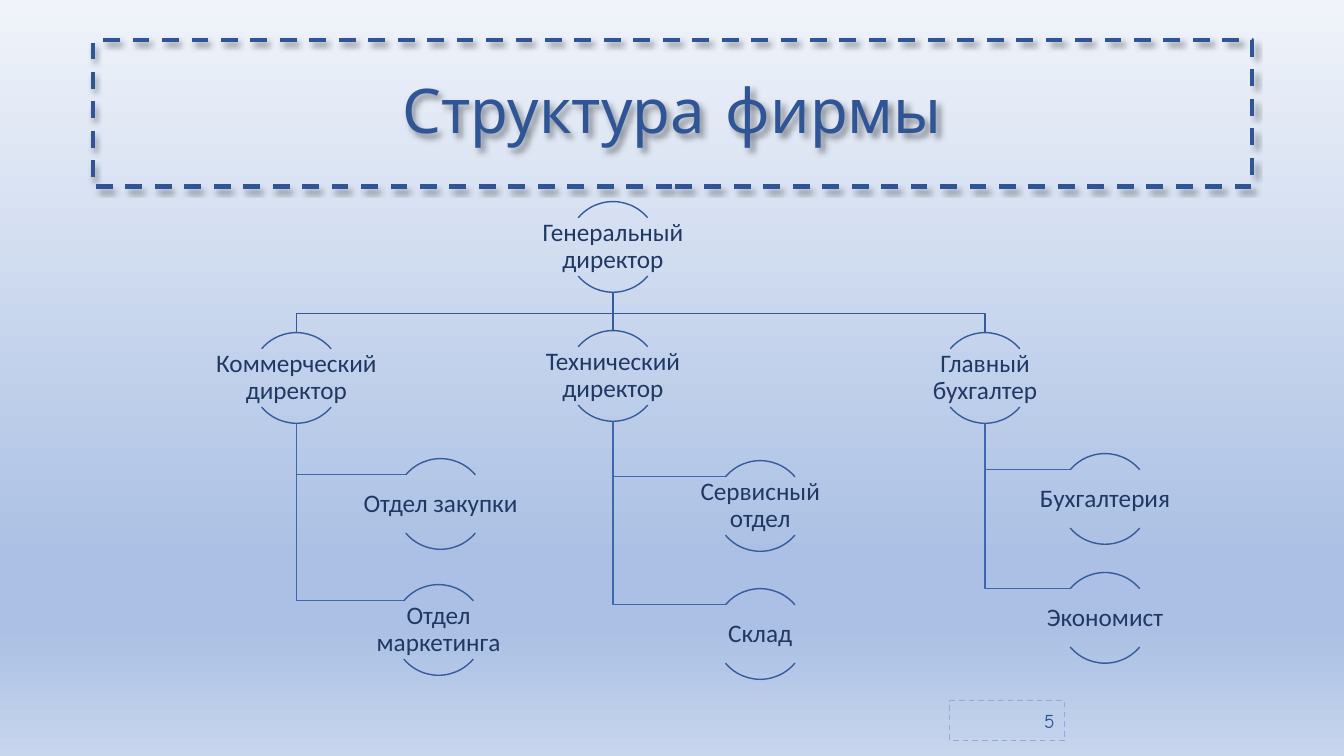
from lxml import etree
from pptx import Presentation
from pptx import util as u
from pptx.dml.color import RGBColor
from pptx.enum import dml, shapes, text
from pptx.oxml.ns import qn

NAVY = RGBColor(0x20, 0x38, 0x64)
BLUE = RGBColor(0x2F, 0x55, 0x97)
ARC_BLUE = RGBColor(0x36, 0x5B, 0x9D)
BRANCH_BLUE = RGBColor(0x3E, 0x67, 0xB2)
PALE_BLUE = RGBColor(0x8F, 0xAA, 0xDC)
BACKGROUND = [(0, RGBColor(0xF0, 0xF4, 0xFA)), (74, RGBColor(0xAB, 0xC0, 0xE4)),
              (83, RGBColor(0xAB, 0xC0, 0xE4)), (100, RGBColor(0xC7, 0xD5, 0xED))]

TITLE = "Структура фирмы"
PAGE = "5"

# (name, centre x, top y) in inches; each manager comes with the departments below
HEAD = ("Генеральный директор", 6.08, 2.0)
MANAGERS = [
    (("Коммерческий директор", 2.94, 3.3),
     [("Отдел закупки", 4.37, 4.55), ("Отдел маркетинга", 4.35, 5.8)]),
    (("Технический директор", 6.08, 3.28),
     [("Сервисный отдел", 7.54, 4.57), ("Склад", 7.54, 5.84)]),
    (("Главный бухгалтер", 9.77, 3.3),
     [("Бухгалтерия", 10.96, 4.5), ("Экономист", 10.96, 5.68)]),
]

CIRCLE = 0.9
LABEL_W, LABEL_H = 2 * CIRCLE, 0.58
LABEL_DROP = (CIRCLE - LABEL_H) / 2
ARC_REACH = 0.34    # from the circle's centre to the end of its arc
BAR_DROP = 0.21     # from the head's circle to the horizontal bar
ARCS = [(132, 192), (24, 84)]   # top and bottom

prs = Presentation()
prs.slide_width, prs.slide_height = u.Inches(13.33), u.Inches(7.5)
s = prs.slides.add_slide(prs.slide_layouts[6])


def box(*at):
    return [u.Inches(v) for v in at]


def style_line(sp, color, width=1):
    sp.line.color.rgb = color
    sp.line.width = u.Pt(width)


def add_outline(kind, at, color, width=1):
    sp = s.shapes.add_shape(kind, *box(*at))
    sp.shadow.inherit = False
    sp.fill.background()
    style_line(sp, color, width)
    return sp


def write(sp, words, size, font, color, align, spacing=1.0):
    tf = sp.text_frame
    tf.word_wrap = True
    tf.vertical_anchor = text.MSO_ANCHOR.MIDDLE
    p = tf.paragraphs[0]
    p.text = words
    p.alignment, p.line_spacing = align, spacing
    f = p.runs[0].font
    f.size, f.name, f.color.rgb = u.Pt(size), font, color


def add_route(points, color):
    """Draw an open line through the points, given in inches."""
    start, *rest = [box(*pt) for pt in points]
    if len(rest) == 1:
        sp = s.shapes.add_connector(shapes.MSO_CONNECTOR.STRAIGHT, *start, *rest[0])
        etree.SubElement(sp._element.spPr, qn("a:effectLst"))
    else:
        builder = s.shapes.build_freeform(*start)
        builder.add_line_segments(rest, close=False)
        sp = builder.convert_to_shape()
        sp.shadow.inherit = False
        sp.fill.background()
    style_line(sp, color)


def link_manager(manager):
    _, x0, y0 = HEAD
    _, x, y = manager
    bottom = y0 + CIRCLE
    bar = bottom + BAR_DROP
    bends = [] if x == x0 else [(x0, bar), (x, bar)]
    add_route([(x0, bottom), *bends, (x, y)], ARC_BLUE)


def link_department(manager, department):
    _, x0, y0 = manager
    _, x, y = department
    level = y + LABEL_DROP
    add_route([(x0, y0 + CIRCLE), (x0, level), (x - ARC_REACH, level)], BRANCH_BLUE)


def add_post(name, x, y):
    for ends in ARCS:
        arc = add_outline(shapes.MSO_SHAPE.ARC, (x - CIRCLE / 2, y, CIRCLE, CIRCLE), ARC_BLUE)
        arc.adjustments[0], arc.adjustments[1] = ends
    label = s.shapes.add_textbox(*box(x - LABEL_W / 2, y + LABEL_DROP, LABEL_W, LABEL_H))
    tf = label.text_frame
    tf.margin_left = tf.margin_right = tf.margin_top = tf.margin_bottom = u.Inches(0.01)
    write(label, name, 18, "Calibri", NAVY, text.PP_ALIGN.CENTER, 0.9)


def add_color(parent, color):
    return etree.SubElement(parent, qn("a:srgbClr"), val=str(color))


def paint_background():
    fill = s.background.fill
    fill.gradient()
    fill.gradient_angle = 270
    stops = s._element.find(".//" + qn("a:gsLst"))
    for old in list(stops):
        stops.remove(old)
    for share, color in BACKGROUND:
        add_color(etree.SubElement(stops, qn("a:gs"), pos=str(share * 1000)), color)


def add_drop_shadow(sp):
    effects = sp._element.spPr.find(qn("a:effectLst"))
    shadow = etree.SubElement(effects, qn("a:outerShdw"), blurRad=str(u.Pt(4)),
                              dist=str(u.Pt(3)), dir=str(45 * 60000),
                              algn="tl", rotWithShape="0")
    etree.SubElement(add_color(shadow, RGBColor(0, 0, 0)), qn("a:alpha"), val="40000")


paint_background()

title = add_outline(shapes.MSO_SHAPE.RECTANGLE, (0.92, 0.4, 11.5, 1.45), BLUE, 3)
title.line.dash_style = dml.MSO_LINE.DASH
add_drop_shadow(title)
write(title, TITLE, 44, "Comic Neue", BLUE, text.PP_ALIGN.CENTER, 0.9)

for manager, departments in MANAGERS:
    link_manager(manager)
    for department in departments:
        link_department(manager, department)

add_post(*HEAD)
for manager, departments in MANAGERS:
    for post in [manager, *departments]:
        add_post(*post)

page = add_outline(shapes.MSO_SHAPE.RECTANGLE, (9.42, 6.95, 1.14, 0.4), PALE_BLUE)
page.line.dash_style = dml.MSO_LINE.DASH
write(page, PAGE, 14, "Comic Neue", BLUE, text.PP_ALIGN.RIGHT)

prs.save("out.pptx")
